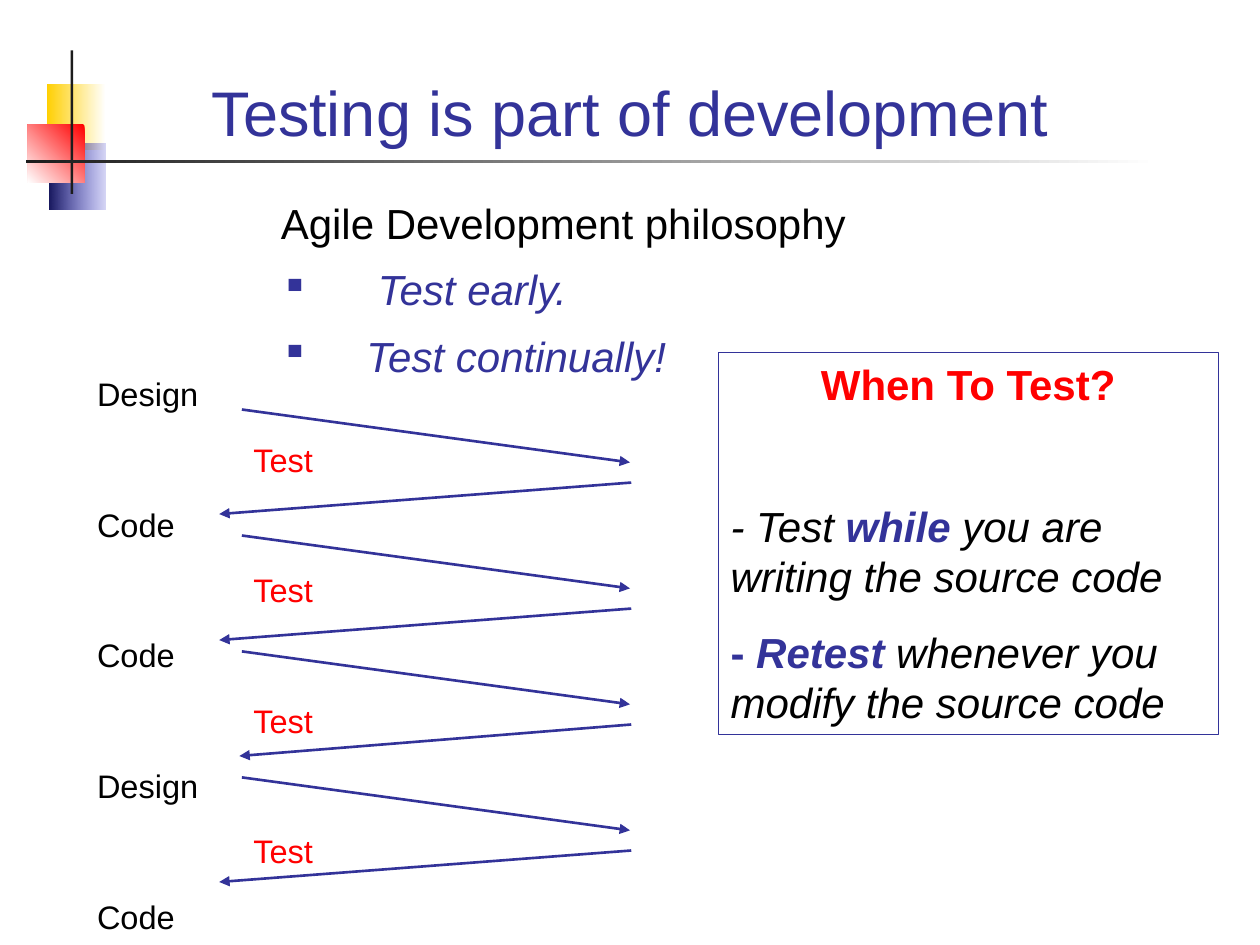
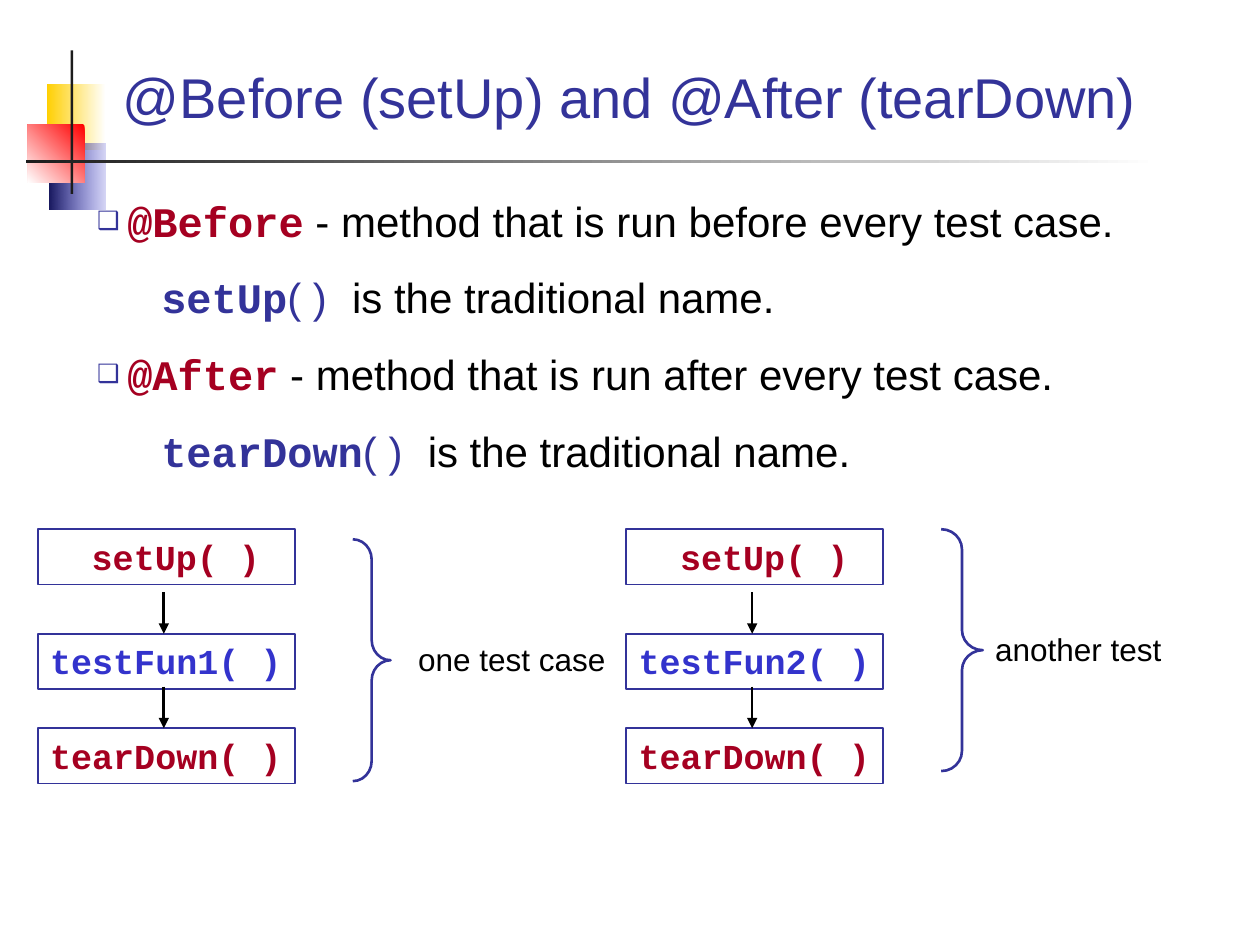
from lxml.etree import SubElement
from pptx import Presentation
from pptx.dml.color import RGBColor
from pptx.enum.shapes import MSO_CONNECTOR, MSO_SHAPE
from pptx.enum.text import MSO_ANCHOR, MSO_AUTO_SIZE, PP_ALIGN
from pptx.oxml.ns import qn
from pptx.util import Inches, Pt

COLORS = {
    "navy": "333399", "blue": "3333CC", "dark_blue": "17175E", "red": "FF0000",
    "crimson": "A50021", "yellow": "FFCF01", "white": "FFFFFF",
    "black": "000000", "ink": "1C1C1C",
}
SANS, MONO = "Arial", "Courier New"


def color(name):
    return RGBColor.from_string(COLORS[name])


# ---------- text ----------
def set_bullet(paragraph, character, percent):
    properties = paragraph._p.get_or_add_pPr()
    if not character:
        SubElement(properties, qn("a:buNone"))
        return
    bullet_color = SubElement(properties, qn("a:buClr"))
    SubElement(bullet_color, qn("a:srgbClr"), val=COLORS["navy"])
    SubElement(properties, qn("a:buSzPct"), val=str(percent * 1000))
    SubElement(properties, qn("a:buChar"), char=character)


def write(frame, *runs, size=24, align=PP_ALIGN.LEFT, before=0, margin=0,
          hanging=0, level=0, bullet=None, bullet_percent=100):
    """Add one paragraph; each run is (text, color) or (text, color, options)."""
    first = not frame.paragraphs[0].runs
    paragraph = frame.paragraphs[0] if first else frame.add_paragraph()
    paragraph.level = level
    properties = paragraph._p.get_or_add_pPr()
    properties.set("marL", str(Inches(margin)))
    properties.set("indent", str(-Inches(hanging)))
    set_bullet(paragraph, bullet, bullet_percent)
    paragraph.alignment = align
    paragraph.space_before = Pt(0 if first else before)
    paragraph.font.size = Pt(size)
    for text, color_name, *options in runs:
        style = options[0] if options else {}
        run = paragraph.add_run()
        run.text = text
        run.font.size = Pt(size)
        run.font.name = style.get("font", SANS)
        run.font.bold = style.get("bold", False)
        run.font.italic = style.get("italic", False)
        run.font.color.rgb = color(color_name)


def prepare_frame(shape, anchor=MSO_ANCHOR.TOP, wrap=True):
    frame = shape.text_frame
    frame.auto_size = MSO_AUTO_SIZE.NONE
    frame.vertical_anchor = anchor
    frame.word_wrap = wrap
    return frame


def place(shape, left, top, width, height):
    shape.left, shape.top = Inches(left), Inches(top)
    shape.width, shape.height = Inches(width), Inches(height)


def add_label(slide, left, top, width, height):
    box = slide.shapes.add_textbox(*map(Inches, (left, top, width, height)))
    return prepare_frame(box)


# ---------- shapes ----------
def add_shape(slide, kind, left, top, width, height, line=None, weight=1):
    shape = slide.shapes.add_shape(kind, *map(Inches, (left, top, width, height)))
    shape.shadow.inherit = False
    shape.fill.background()
    if line:
        shape.line.color.rgb = color(line)
        shape.line.width = Pt(weight)
    else:
        shape.line.fill.background()
    return shape


def fill_gradient(shape, start, end, angle=180):
    shape.fill.gradient()
    shape.fill.gradient_angle = angle
    for stop, name in zip(shape.fill.gradient_stops, (start, end)):
        stop.color.rgb = color(name)


def add_arrow(slide, start, end, line):
    arrow = slide.shapes.add_connector(
        MSO_CONNECTOR.STRAIGHT, *map(Inches, (*start, *end)))
    arrow.line.color.rgb = color(line)
    arrow.line.width = Pt(1.5)
    SubElement(arrow.line._get_or_add_ln(), qn("a:tailEnd"), type="triangle")
    SubElement(arrow.element.spPr, qn("a:effectLst"))


# ---------- shared theme ----------
def decorate_layout(layout, slide):
    """Build the squares and cross lines, then move them behind every slide."""
    rectangle = MSO_SHAPE.RECTANGLE
    yellow = add_shape(slide, rectangle, 0.37, 0.67, 0.47, 0.52)
    fill_gradient(yellow, "white", "yellow")
    blue = add_shape(slide, rectangle, 0.39, 1.14, 0.45, 0.52)
    fill_gradient(blue, "blue", "dark_blue")
    pale_stop = next(blue.element.iter(qn("a:srgbClr")))
    SubElement(pale_stop, qn("a:alpha"), val="20000")
    red = add_shape(slide, rectangle, 0.22, 0.99, 0.45, 0.46)
    fill_gradient(red, "red", "white", 225)
    upright = add_shape(slide, rectangle, 0.56, 0.4, 0.02, 1.14)
    upright.fill.solid()
    upright.fill.fore_color.rgb = color("ink")
    rule = add_shape(slide, rectangle, 0.21, 1.27, 8.98, 0.02)
    fill_gradient(rule, "white", "ink")
    for position, shape in enumerate((yellow, blue, red, upright, rule), start=2):
        layout.shapes.element.insert(position, shape.element)


def add_title(slide, text, height, size):
    title = slide.shapes.title
    place(title, 0.67, 0.28, 8.66, height)
    write(prepare_frame(title, MSO_ANCHOR.BOTTOM), (text, "navy"),
          size=size, align=PP_ALIGN.CENTER)


def get_body(slide, *box):
    body = slide.placeholders[1]
    place(body, *box)
    return prepare_frame(body)


# ---------- slide 1 ----------
def add_cycle(slide, left, top):
    """Alternating work and test steps with zigzag arrows."""
    frame = get_body(slide, left, top, 5.13, 4.38)
    steps = ("Design", "Code", "Code", "Design", "Code")
    for number, step in enumerate(steps):
        if number:
            write(frame, ("Test", "red"), size=18.6, before=15, margin=1.24)
        write(frame, (step, "black"), size=18.6, before=15)

    near, far = left + 1.25, left + 4.33
    for offset, back in ((0.33, 1.07), (1.33, 1.07), (2.25, 1.23), (3.25, 1.07)):
        y = top + offset
        add_arrow(slide, (near, y), (far, y + 0.42), "navy")
        add_arrow(slide, (far + 0.01, y + 0.58), (left + back, y + 0.83), "navy")


def add_when_box(slide, left, top):
    box = add_shape(slide, MSO_SHAPE.RECTANGLE, left, top, 3.97, 3.03, "navy", 0.75)
    frame = prepare_frame(box)
    bold, italic = {"bold": True}, {"italic": True}
    both = {**bold, **italic}
    write(frame, ("When To Test?", "red", bold), align=PP_ALIGN.CENTER)
    write(frame, ("- Test ", "black", italic), ("while", "navy", both),
          (" you are writing the source code", "black", italic), before=52)
    write(frame, ("- ", "navy", bold), ("Retest", "navy", both),
          (" whenever you modify the source code", "black", italic), before=14.3)


def add_philosophy(slide, left, top):
    frame = add_label(slide, left, top, 5.75, 1.55)
    write(frame, ("Agile Development philosophy", "black"))
    for text, margin in (("Test early.", 0.77), ("Test continually!", 0.68)):
        write(frame, (text, "navy", {"italic": True}), before=9, margin=margin,
              hanging=margin, bullet="▪", bullet_percent=90)


def build_development(slide):
    add_title(slide, "Testing is part of development", 0.95, 36)
    add_cycle(slide, 0.67, 2.92)
    add_when_box(slide, 5.7, 2.8)
    add_philosophy(slide, 2.13, 1.52)


# ---------- slide 2 ----------
def add_methods(slide, left, top):
    frame = get_body(slide, left, top, 8.66, 4.88)
    code = {"font": MONO, "bold": True}
    for annotation, moment, method in (("@Before", "before", "setUp"),
                                       ("@After", "after", "tearDown")):
        write(frame, (annotation, "crimson", code),
              (f" - method that is run {moment} every test case.", "black"),
              before=15, margin=0.24, hanging=0.24, bullet="❑", bullet_percent=60)
        write(frame, (method, "navy", code), ("( )", "navy"),
              (" ", "black", {"font": MONO}),
              ("is the traditional name.", "black"),
              before=15, margin=0.51, level=1)


def add_test_case(slide, left, top, test, label, brace_drop, brace_width, gap):
    """Three linked calls, a brace and its label."""
    calls = (("setUp( )", "crimson", 0, 0.33), (test, "blue", 0.83, 0),
             ("tearDown( )", "crimson", 1.58, 0))
    for text, color_name, offset, margin in calls:
        box = add_shape(slide, MSO_SHAPE.RECTANGLE, left, top + offset,
                        2.04, 0.44, "navy")
        write(prepare_frame(box, wrap=False),
              (text, color_name, {"font": MONO, "bold": True}),
              size=20, margin=margin)
        if offset:
            x, y = left + 1, top + offset
            add_arrow(slide, (x, y - 0.33), (x, y), "black")

    brace_left, brace_top = left + 2.5, top + brace_drop
    brace = add_shape(slide, MSO_SHAPE.RIGHT_BRACE, brace_left, brace_top,
                      brace_width, 1.92, "navy", 1.5)
    brace.adjustments[0] = 0.16 / brace_width
    frame = add_label(slide, brace_left + brace_width + gap, brace_top + 0.75, 2, 0.4)
    write(frame, (label, "black"), size=18)


def build_fixtures(slide):
    add_title(slide, "@Before (setUp) and @After (tearDown)", 0.8, 32)
    add_methods(slide, 0.67, 1.5)
    add_test_case(slide, 0.3, 4.2, "testFun1( )", "one test case", 0.08, 0.3, 0.12)
    add_test_case(slide, 4.97, 4.2, "testFun2( )", "another test", 0, 0.33, 0)


def main():
    presentation = Presentation()
    presentation.slide_width, presentation.slide_height = Inches(10), Inches(7.5)
    layout = presentation.slide_layouts[1]
    slides = [presentation.slides.add_slide(layout) for _ in range(2)]
    decorate_layout(layout, slides[0])
    for slide, build in zip(slides, (build_development, build_fixtures)):
        build(slide)
    presentation.save("out.pptx")


if __name__ == "__main__":
    main()
